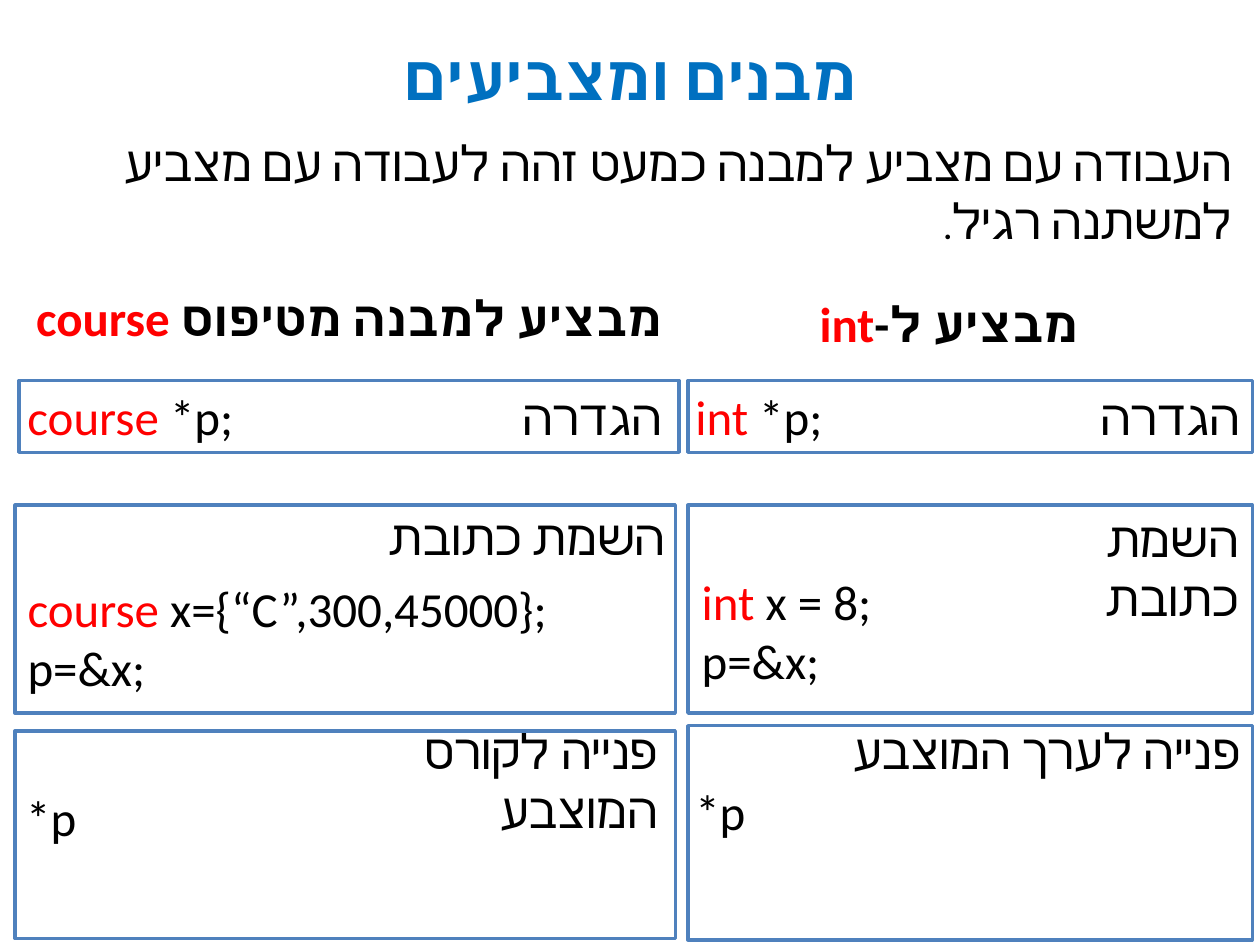
from lxml.etree import SubElement
from pptx import Presentation
from pptx.dml.color import RGBColor
from pptx.enum.shapes import MSO_SHAPE as Shape
from pptx.enum.text import MSO_ANCHOR as Anchor, MSO_AUTO_SIZE as AutoSize, PP_ALIGN as Align
from pptx.oxml.ns import qn
from pptx.util import Inches, Pt

BLACK = RGBColor(0, 0, 0)
RED = RGBColor(0xFF, 0, 0)
TITLE_BLUE = RGBColor(0, 0x70, 0xC0)
FRAME_BLUE = RGBColor(0x4F, 0x81, 0xBD)


class SlideBuilder:
    font = "Calibri"
    size = 28

    def __init__(self, slide):
        self.slide = slide

    def text(self, box, lines, align=Align.LEFT, hebrew=False, anchor=Anchor.TOP):
        shape = self.slide.shapes.add_textbox(*map(Inches, box))
        frame = shape.text_frame
        frame.word_wrap = True
        frame.auto_size = AutoSize.SHAPE_TO_FIT_TEXT
        frame.vertical_anchor = anchor
        frame.text = "\n".join("" for line in lines)
        for paragraph, line in zip(frame.paragraphs, lines):
            paragraph.alignment = align
            if hebrew:
                paragraph._p.get_or_add_pPr().set("rtl", "1")
            for words, style in line:
                self.run(paragraph, words, **style)

    def run(self, paragraph, words, color=BLACK, bold=False, size=size, font=font):
        run = paragraph.add_run()
        run.text = words
        run.font.name = font
        run.font.size = Pt(size)
        run.font.bold = bold
        run.font.color.rgb = color
        SubElement(run.font._element, qn("a:cs"), typeface=self.font)

    def hebrew(self, box, *runs, align=Align.RIGHT, anchor=Anchor.TOP):
        self.text(box, [runs], align, True, anchor)

    def frame(self, box):
        shape = self.slide.shapes.add_shape(Shape.RECTANGLE, *map(Inches, box))
        shape.shadow.inherit = False
        shape.fill.background()
        shape.line.color.rgb = FRAME_BLUE
        shape.line.width = Pt(2)


PLAIN = {}
BOLD = {"bold": True}
TYPE = {"color": RED}
DEFINE = "הגדרה"
ASSIGN = "השמת כתובת"

COLUMNS = [
    {
        "heading": ((6.39, 2.28, 2.28, 0.57), "מבציע ל-", "int"),
        "labels": [
            ((8.13, 3.02, 1.81, 0.57), DEFINE),
            ((7.58, 3.99, 2.35, 0.57), ASSIGN),
            ((6.67, 5.67, 3.27, 0.57), "פנייה לערך המוצבע"),
        ],
        "code": [
            ((5.42, 3.02, 1.81, 0.57), [[("int", TYPE), (" *p;", PLAIN)]]),
            ((5.47, 4.49, 1.81, 1.04), [[("int ", TYPE), ("x = 8;", PLAIN)], [("p=&x;", PLAIN)]]),
            ((5.42, 6.15, 1.81, 0.57), [[("*p", PLAIN)]]),
        ],
        "frames": [(5.46, 3.02, 4.48, 0.57), (5.46, 4.01, 4.48, 1.65), (5.46, 5.76, 4.48, 1.7)],
    },
    {
        "heading": ((0.15, 2.23, 5.24, 0.57), "מבציע למבנה מטיפוס ", "course"),
        "labels": [
            ((3.54, 3.02, 1.81, 0.57), DEFINE),
            ((2.87, 3.97, 2.51, 0.57), ASSIGN),
            ((1.96, 5.67, 3.36, 0.57), "פנייה לקורס המוצבע"),
        ],
        "code": [
            ((0.12, 3.02, 2.67, 0.57), [[("course ", TYPE), ("*p;", PLAIN)]]),
            ((0.12, 4.54, 4.49, 1.04),
             [[("course", TYPE), (" x={“C”,300,45000};", PLAIN)], [("p=&x;", PLAIN)]]),
            ((0.11, 6.2, 3.5, 0.57), [[("*p", PLAIN)]]),
        ],
        "frames": [(0.15, 3.02, 5.24, 0.57), (0.12, 4.01, 5.24, 1.65), (0.12, 5.8, 5.24, 1.65)],
    },
]

presentation = Presentation()
presentation.slide_width = Inches(10)
presentation.slide_height = Inches(7.5)
builder = SlideBuilder(presentation.slides.add_slide(presentation.slide_layouts[6]))

builder.hebrew(
    (0.91, 0.19, 8.19, 0.81),
    ("מבנים ומצביעים", {"color": TITLE_BLUE, "bold": True, "size": 36, "font": "Arial"}),
    align=Align.CENTER, anchor=Anchor.MIDDLE,
)
builder.hebrew(
    (0.12, 1, 9.76, 1.04),
    ("העבודה עם מצביע למבנה כמעט זהה לעבודה עם מצביע למשתנה רגיל", PLAIN),
    (".", {"bold": True, "size": 18}),
)

for column in COLUMNS:
    box, words, type_name = column["heading"]
    builder.hebrew(box, (words, BOLD), (type_name, BOLD | TYPE), align=Align.CENTER)
    for box, words in column["labels"]:
        builder.hebrew(box, (words, PLAIN))
    for box, lines in column["code"]:
        builder.text(box, lines)
    for box in column["frames"]:
        builder.frame(box)

presentation.save("out.pptx")
